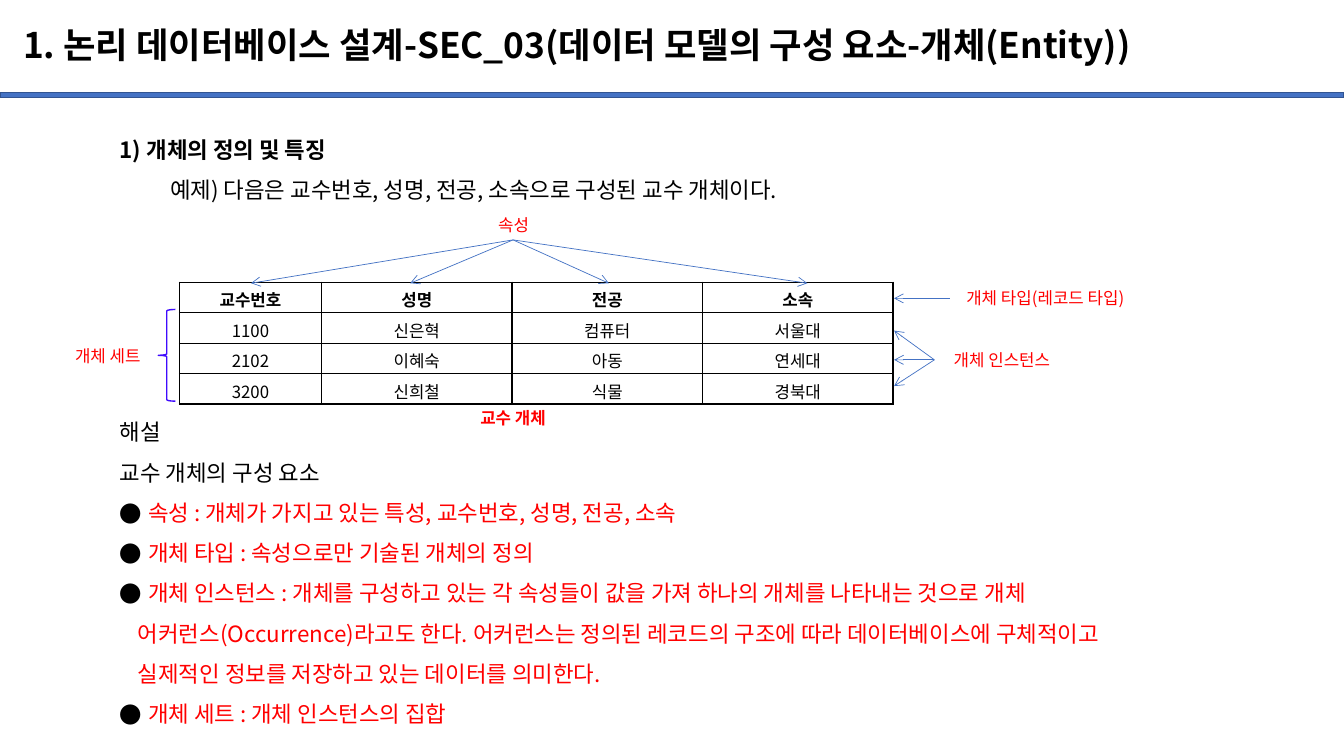
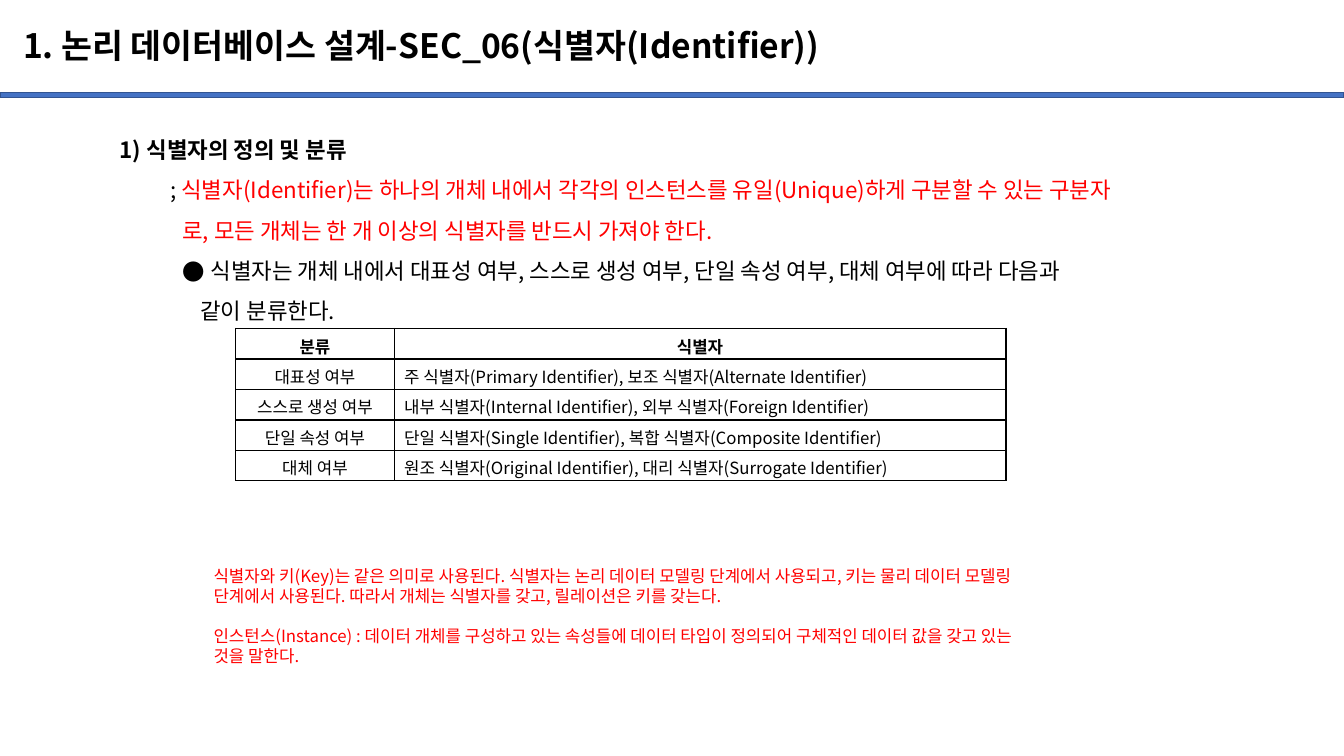
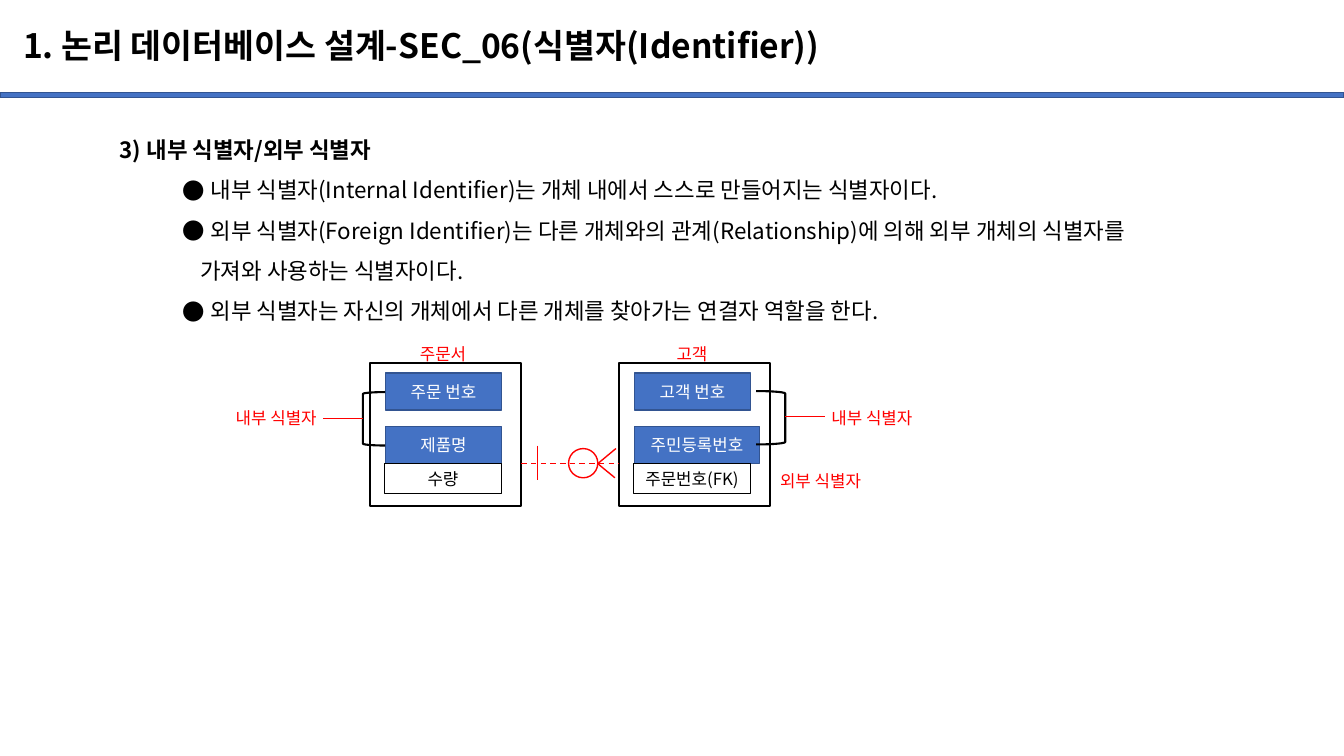
"""Build three slides on entities and identifiers in logical database design."""
import lxml.etree
import pptx
import pptx.dml.color
import pptx.enum.dml
import pptx.enum.shapes
import pptx.enum.text
import pptx.oxml.ns
import pptx.util

FONT = "Noto Sans CJK KR"
BLACK, WHITE, RED = "000000", "FFFFFF", "FF0000"
BLUE, NAVY, VIOLET = "4472C4", "325491", "3F0BFD"
WIDE, HIGH = 133.33, 75
ROW = 3.02
LEFT = pptx.enum.text.PP_ALIGN.LEFT
MID = pptx.enum.text.PP_ALIGN.CENTER
TOP = pptx.enum.text.MSO_ANCHOR.TOP
CORE = pptx.enum.text.MSO_ANCHOR.MIDDLE
KIND = pptx.enum.shapes.MSO_SHAPE


def grid(num):
    """Turn grid steps of a tenth of an inch into a length."""
    return pptx.util.Inches(num / 10)


def area(left, top, width, height):
    """Turn a place on the grid into four lengths."""
    return [grid(num) for num in (left, top, width, height)]


def tint(code):
    """Turn a hex string into a colour."""
    return pptx.dml.color.RGBColor.from_string(code)


def node(home, tag, **attrs):
    """Append a drawing element with attributes."""
    return lxml.etree.SubElement(home, pptx.oxml.ns.qn("a:" + tag), attrs)


def row(text, color=BLACK, **opts):
    """Describe one paragraph; its text is a string or pairs of text and colour."""
    return dict(text=text, color=color, **opts)


def style(para, text, color=BLACK, size=12, bold=False, align=LEFT,
          space=None, before=0, left=0, hang=0, dot=False):
    """Fill and format one paragraph."""
    if isinstance(text, str):
        para.text = text
    else:
        for part, shade in text:
            run = para.add_run()
            run.text = part
            run.font.color.rgb = tint(shade)
    para.alignment = align
    if space:
        para.line_spacing = space
    if before:
        para.space_before = pptx.util.Pt(before)
    props = para._p.get_or_add_pPr()
    props.set("marL", str(grid(left + hang)))
    props.set("indent", str(-grid(hang)))
    if dot:
        node(node(props, "buClr"), "srgbClr", val=BLACK)
        node(props, "buFont", typeface=FONT)
        node(props, "buChar", char="●")
    font = para.font
    font.size, font.bold, font.name = pptx.util.Pt(size), bold, FONT
    font.color.rgb = tint(color)
    node(props.find(pptx.oxml.ns.qn("a:defRPr")), "ea", typeface=FONT)


def write(frame, rows, anchor=TOP, **opts):
    """Write paragraphs into a text frame."""
    frame.word_wrap = True
    frame.vertical_anchor = anchor
    for num, item in enumerate(rows):
        para = frame.add_paragraph() if num else frame.paragraphs[0]
        style(para, **{**opts, **item})


def label(slide, place, text, align=MID, **opts):
    """Add a red label."""
    box = slide.shapes.add_textbox(*area(*place))
    write(box.text_frame, [row(text, RED)], align=align, **opts)


def body(slide, height, rows):
    """Add the main text, with its first row as bold heading."""
    box = slide.shapes.add_textbox(*area(10.9, 11.7, 117.2, height))
    rows[0]["bold"] = True
    write(box.text_frame, rows, size=16, space=1.5)


def shape(slide, kind, place, line, weight=1, fill=None, text="", color=BLACK):
    """Add a preset shape, with centred text if there is any."""
    item = slide.shapes.add_shape(kind, *area(*place))
    item.shadow.inherit = False
    if fill:
        item.fill.solid()
        item.fill.fore_color.rgb = tint(fill)
    else:
        item.fill.background()
    item.line.color.rgb = tint(line)
    item.line.width = pptx.util.Pt(weight)
    if text:
        frame = item.text_frame
        frame.margin_left = frame.margin_right = 0
        write(frame, [row(text, color)], CORE, align=MID)
    return item


def link(slide, start, end, color=RED, weight=1, dash=False, arrow=False):
    """Add a straight line, dashed or with an arrowhead on request."""
    item = slide.shapes.add_connector(
        pptx.enum.shapes.MSO_CONNECTOR.STRAIGHT,
        *[grid(num) for num in (*start, *end)])
    item.line.color.rgb = tint(color)
    item.line.width = pptx.util.Pt(weight)
    if dash:
        item.line.dash_style = pptx.enum.dml.MSO_LINE.DASH
    if arrow:
        node(item.line._get_or_add_ln(), "tailEnd", type="arrow")
    node(item._element.spPr, "effectLst")


def fan(slide, start, ends):
    """Add thin blue arrows from one point to many."""
    for end in ends:
        link(slide, start, end, BLUE, 0.5, arrow=True)


def border(cell):
    """Draw four black borders round a cell."""
    props = cell._tc.get_or_add_tcPr()
    for num, side in enumerate(("lnL", "lnR", "lnT", "lnB")):
        edge = lxml.etree.Element(pptx.oxml.ns.qn("a:" + side), w="12700")
        node(node(edge, "solidFill"), "srgbClr", val=BLACK)
        props.insert(num, edge)


def table(slide, left, top, widths, data, aligns):
    """Add a plain ruled table with a bold heading row."""
    place = area(left, top, sum(widths), ROW * len(data))
    grille = slide.shapes.add_table(len(data), len(widths), *place).table
    grille.first_row = grille.horz_banding = False
    for col, width in zip(grille.columns, widths):
        col.width = grid(width)
    for down, items in enumerate(data):
        grille.rows[down].height = grid(ROW)
        for across, text in enumerate(items):
            cell = grille.cell(down, across)
            cell.fill.background()
            border(cell)
            cell.vertical_anchor = CORE
            style(cell.text_frame.paragraphs[0], text, bold=down == 0,
                  align=aligns[across] if down else MID)


def page(deck, text, size=24):
    """Add a slide with a formatted title."""
    slide = deck.slides.add_slide(deck.slide_layouts[5])
    title = slide.shapes.title
    title.left, title.top, title.width, title.height = area(1.3, 1, 126.8, 7.4)
    title.text_frame.auto_size = pptx.enum.text.MSO_AUTO_SIZE.NONE
    write(title.text_frame, [row(text)], CORE, size=size, bold=True, space=0.9)
    return slide


def band(deck, slide):
    """Draw the blue band and move it to the shared layout."""
    bar = shape(slide, KIND.RECTANGLE, (0, 9.2, WIDE, 0.5), NAVY, fill=BLUE)
    deck.slide_layouts[5].shapes._spTree.append(bar._element)


def entity(deck):
    """Build the slide on entities."""
    slide = page(deck, "1. 논리 데이터베이스 설계-SEC_03(데이터 모델의 구성 요소-개체(Entity))", 25.2)
    band(deck, slide)
    point = dict(color=RED, hang=2.8, dot=True)
    body(slide, 61.6, [
        row("1) 개체의 정의 및 특징"),
        row("예제) 다음은 교수번호, 성명, 전공, 소속으로 구성된 교수 개체이다.", left=5),
        row("해설", before=144),
        row("교수 개체의 구성 요소"),
        row("속성 : 개체가 가지고 있는 특성, 교수번호, 성명, 전공, 소속", **point),
        row("개체 타입 : 속성으로만 기술된 개체의 정의", **point),
        row("개체 인스턴스 : 개체를 구성하고 있는 각 속성들이 값을 가져 하나의 개체를 나타내는 것으로 개체", **point),
        row("어커런스(Occurrence)라고도 한다. 어커런스는 정의된 레코드의 구조에 따라 데이터베이스에 구체적이고", RED, left=1.8),
        row("실제적인 정보를 저장하고 있는 데이터를 의미한다.", RED, left=1.8),
        row("개체 세트 : 개체 인스턴스의 집합", **point),
    ])
    table(slide, 17.8, 28, [14.1, 18.9, 18.9, 18.9], [
        ("교수번호", "성명", "전공", "소속"),
        ("1100", "신은혁", "컴퓨터", "서울대"),
        ("2102", "이혜숙", "아동", "연세대"),
        ("3200", "신희철", "식물", "경북대"),
    ], [MID] * 4)
    label(slide, (47, 20.8, 7.9, 3), "속성")
    fan(slide, (50.9, 23.8), [(x, 28.1) for x in (24.9, 40.7, 60.4, 80.1)])
    label(slide, (92.9, 28.1, 21.6, 3), "개체 타입(레코드 타입)")
    fan(slide, (94.2, 29.6), [(88.7, 29.6)])
    label(slide, (92.7, 34.2, 13.4, 3), "개체 인스턴스")
    fan(slide, (92.7, 35.7), [(88.7, y) for y in (32.8, 35.7, 38.3)])
    shape(slide, KIND.LEFT_BRACE, (15.7, 30.7, 1.7, 9.1), VIOLET)
    label(slide, (4, 33.8, 13.4, 3), "개체 세트")
    label(slide, (43.8, 40, 14.2, 3), "교수 개체", bold=True)


def sorts(deck, title):
    """Build the slide on the kinds of identifier."""
    slide = page(deck, title)
    body(slide, 21.2, [
        row("1) 식별자의 정의 및 분류"),
        row([("; ", BLACK), ("식별자(Identifier)는 하나의 개체 내에서 각각의 인스턴스를 유일(Unique)하게 구분할 수 있는 구분자", RED)], left=5),
        row("로, 모든 개체는 한 개 이상의 식별자를 반드시 가져야 한다.", RED, left=6.2),
        row("식별자는 개체 내에서 대표성 여부, 스스로 생성 여부, 단일 속성 여부, 대체 여부에 따라 다음과",
            left=6.2, hang=2.8, dot=True),
        row("같이 분류한다.", left=8),
    ])
    notes = slide.shapes.add_textbox(*area(20.2, 55.6, 96.9, 11.1))
    write(notes.text_frame, [
        row("식별자와 키(Key)는 같은 의미로 사용된다. 식별자는 논리 데이터 모델링 단계에서 사용되고, 키는 물리 데이터 모델링\v"
            "단계에서 사용된다. 따라서 개체는 식별자를 갖고, 릴레이션은 키를 갖는다."),
        row("인스턴스(Instance) : 데이터 개체를 구성하고 있는 속성들에 데이터 타입이 정의되어 구체적인 데이터 값을 갖고 있는\v"
            "것을 말한다.", before=14.3),
    ])
    for para in notes.text_frame.paragraphs:
        para.font.color.rgb = tint(RED)
    table(slide, 23.4, 32.6, [15.7, 60.7], [
        ("분류", "식별자"),
        ("대표성 여부", "주 식별자(Primary Identifier), 보조 식별자(Alternate Identifier)"),
        ("스스로 생성 여부", "내부 식별자(Internal Identifier), 외부 식별자(Foreign Identifier)"),
        ("단일 속성 여부", "단일 식별자(Single Identifier), 복합 식별자(Composite Identifier)"),
        ("대체 여부", "원조 식별자(Original Identifier), 대리 식별자(Surrogate Identifier)"),
    ], [MID, LEFT])


def card(slide, left, name, keys, field):
    """Draw an entity box with its keys, each a text and a width, and a field."""
    shape(slide, KIND.RECTANGLE, (left, 36, 15, 14.2), BLACK)
    label(slide, (left + 0.85, 33.6, 12.8, 3), name)
    for num, (text, width) in enumerate(keys):
        shape(slide, KIND.RECTANGLE, (left + 1.55, 37 + 5.3 * num, width, 3.7),
              NAVY, fill=BLUE, text=text, color=WHITE)
    shape(slide, KIND.RECTANGLE, (left + 1.45, 46, 11.6, 3), BLACK, 0.75, text=field)


def inner(deck, title):
    """Build the slide on internal and foreign identifiers."""
    slide = page(deck, title)
    point = dict(left=6.2, hang=2.8, dot=True)
    body(slide, 21.2, [
        row("3) 내부 식별자/외부 식별자"),
        row("내부 식별자(Internal Identifier)는 개체 내에서 스스로 만들어지는 식별자이다.", **point),
        row("외부 식별자(Foreign Identifier)는 다른 개체와의 관계(Relationship)에 의해 외부 개체의 식별자를", **point),
        row("가져와 사용하는 식별자이다.", left=8),
        row("외부 식별자는 자신의 개체에서 다른 개체를 찾아가는 연결자 역할을 한다.", **point),
    ])
    card(slide, 36.7, "주문서", [("주문 번호", 11.5), ("제품명", 11.5)], "수량")
    card(slide, 61.4, "고객", [("고객 번호", 11.5), ("주민등록번호", 12.4)], "주문번호(FK)")
    label(slide, (21, 40, 12.8, 3), "내부 식별자")
    label(slide, (80.1, 40, 12.8, 3), "내부 식별자")
    label(slide, (76.4, 46.2, 12.8, 3), "외부 식별자", LEFT)
    link(slide, (51.7, 46), (61.4, 46), dash=True)
    link(slide, (53.3, 44.2), (53.3, 47.6))
    shape(slide, KIND.OVAL, (56.4, 44.5, 2.9, 2.9), RED)
    for tip in ((61.1, 44.5), (61, 47.4)):
        link(slide, (59.3, 46), tip)
    shape(slide, KIND.LEFT_BRACKET, (36, 38.9, 2.2, 5.3), BLACK, 1.5)
    link(slide, (36, 41.5), (32, 41.5))
    shape(slide, KIND.RIGHT_BRACKET, (75, 38.8, 2.9, 5.3), BLACK, 1.5)
    link(slide, (81.8, 41.3), (77.9, 41.3))


def main():
    """Build and save the deck."""
    deck = pptx.Presentation()
    deck.slide_width, deck.slide_height = grid(WIDE), grid(HIGH)
    title = "1. 논리 데이터베이스 설계-SEC_06(식별자(Identifier))"
    entity(deck)
    sorts(deck, title)
    inner(deck, title)
    deck.save("out.pptx")


if __name__ == "__main__":
    main()
